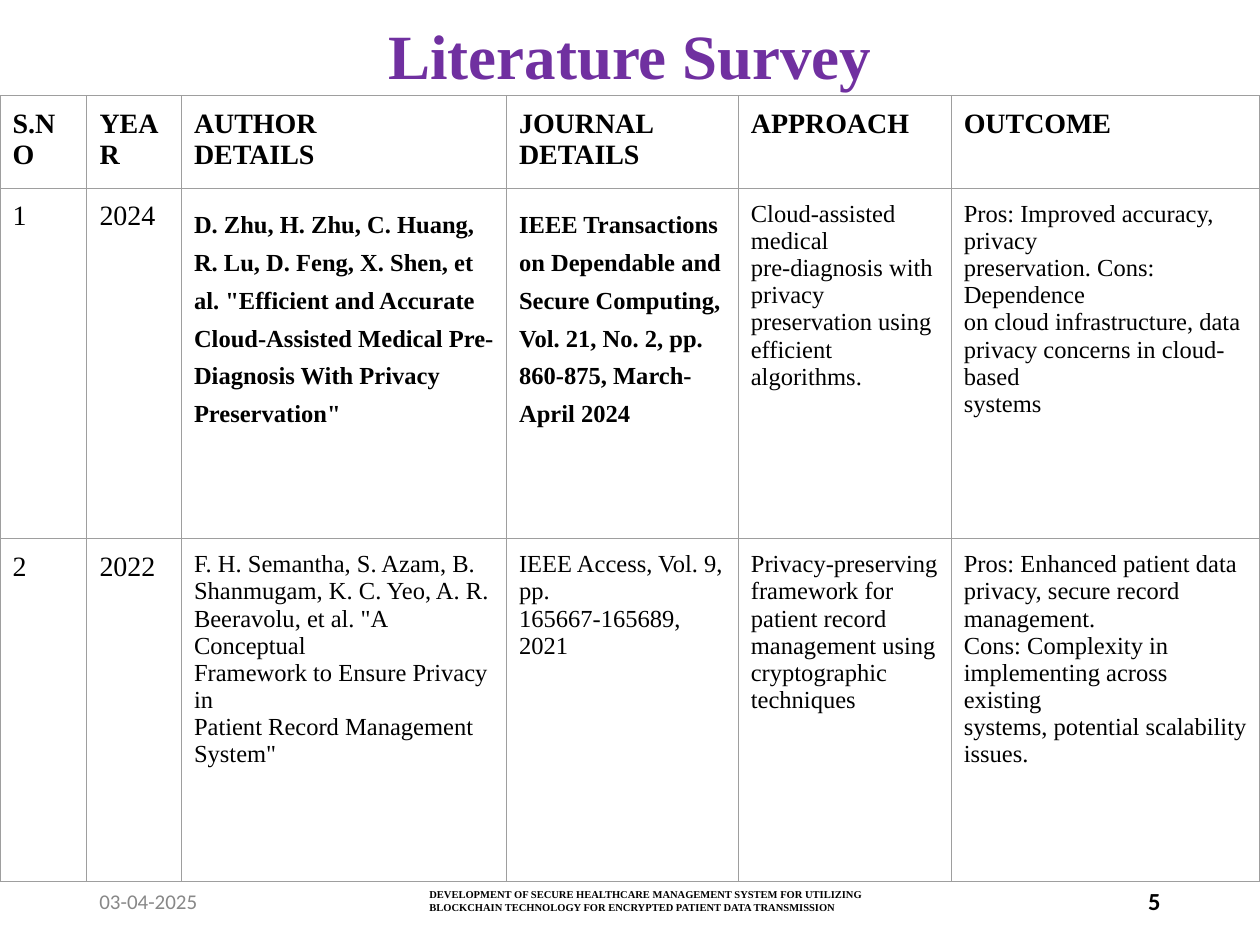
from lxml.etree import SubElement
from pptx import Presentation
from pptx.dml.color import RGBColor
from pptx.enum.text import MSO_ANCHOR, PP_ALIGN
from pptx.oxml.ns import qn
from pptx.util import Inches, Pt

COLUMN_WIDTHS = [0.69, 0.75, 2.58, 1.84, 1.69, 2.45]
ROW_HEIGHTS = [0.68, 2.78, 2.72]
HEADINGS = ["S.NO", "YEAR", "AUTHOR\nDETAILS", "JOURNAL DETAILS", "APPROACH", "OUTCOME"]
STUDIES = [
    [
        "1",
        "2024",
        'D. Zhu, H. Zhu, C. Huang, R. Lu, D. Feng, X. Shen, et al. "Efficient and Accurate '
        'Cloud-Assisted Medical Pre-Diagnosis With Privacy Preservation"',
        "IEEE Transactions on Dependable and Secure Computing, Vol. 21, No. 2, "
        "pp. 860-875, March-April 2024",
        "Cloud-assisted medical\npre-diagnosis with privacy\npreservation using\n"
        "efficient algorithms.",
        "Pros: Improved accuracy, privacy\npreservation. Cons: Dependence\n"
        "on cloud infrastructure, data\nprivacy concerns in cloud-based\nsystems",
    ],
    [
        "2",
        "2022",
        "F. H. Semantha, S. Azam, B.\nShanmugam, K. C. Yeo, A. R.\n"
        'Beeravolu, et al. "A Conceptual\nFramework to Ensure Privacy in\n'
        'Patient Record Management\nSystem"',
        "IEEE Access, Vol. 9, pp.\n165667-165689, 2021",
        "Privacy-preserving\nframework for patient record\nmanagement using\n"
        "cryptographic techniques",
        "Pros: Enhanced patient data\nprivacy, secure record\nmanagement.\n"
        "Cons: Complexity in\nimplementing across existing\n"
        "systems, potential scalability\nissues.",
    ],
]


def rgb(value):
    return RGBColor.from_string(value)


class SurveySlide:
    serif = "Times New Roman"
    sans = "Calibri"
    black = "000000"
    gray = "888888"
    purple = "7030A0"
    rule = "9E9E9E"

    def __init__(self, slide):
        self.slide = slide

    def set_text(self, frame, text, size, font=serif, color=black, bold=False,
                 align=PP_ALIGN.LEFT, spacing=None):
        """Fill a text frame, one paragraph per line of text."""
        frame.word_wrap = True
        frame.text = text
        for paragraph in frame.paragraphs:
            paragraph.alignment = align
            paragraph.line_spacing = spacing
            for run in paragraph.runs:
                run.font.size = Pt(size)
                run.font.name = font
                run.font.bold = bold
                run.font.color.rgb = rgb(color)

    def label(self, left, top, width, height, text, size, **style):
        box = self.slide.shapes.add_textbox(
            Inches(left), Inches(top), Inches(width), Inches(height))
        box.text_frame.vertical_anchor = MSO_ANCHOR.MIDDLE
        self.set_text(box.text_frame, text, size, **style)

    def border(self, cell):
        properties = cell._tc.get_or_add_tcPr()
        for side in ("a:lnL", "a:lnR", "a:lnT", "a:lnB"):
            line = SubElement(properties, qn(side), w=str(Pt(0.75)))
            fill = SubElement(line, qn("a:solidFill"))
            SubElement(fill, qn("a:srgbClr"), val=self.rule)

    def cell(self, cell, text, size, **style):
        cell.margin_left = cell.margin_right = Inches(0.1)
        cell.margin_top = cell.margin_bottom = Inches(0.1)
        cell.vertical_anchor = MSO_ANCHOR.TOP
        self.border(cell)
        cell.fill.background()
        self.set_text(cell.text_frame, text, size, **style)

    def table(self, left, top, widths, heights, rows):
        table = self.slide.shapes.add_table(
            len(heights), len(widths), Inches(left), Inches(top),
            Inches(sum(widths)), Inches(sum(heights))).table
        table.first_row = table.horz_banding = False
        for column, width in zip(table.columns, widths):
            column.width = Inches(width)
        for row, height in zip(table.rows, heights):
            row.height = Inches(height)
        for r, texts in enumerate(rows):
            for c, text in enumerate(texts):
                citation = r == 1 and c in (2, 3)
                self.cell(table.cell(r, c), text,
                          16 if r == 0 or c < 2 else 14,
                          bold=r == 0 or citation,
                          spacing=1.4 if citation else None)


def main():
    presentation = Presentation()
    presentation.slide_width = Inches(10)
    presentation.slide_height = Inches(7.5)
    survey = SurveySlide(presentation.slides.add_slide(presentation.slide_layouts[6]))

    survey.label(0.69, 0.18, 8.62, 0.58, "Literature Survey", 36, color=survey.purple,
                 bold=True, align=PP_ALIGN.CENTER, spacing=0.9)
    survey.label(0.69, 6.95, 2.25, 0.4, "03-04-2025", 12,
                 font=survey.sans, color=survey.gray)
    survey.label(7.06, 6.95, 2.25, 0.4, "5", 14, font=survey.sans,
                 bold=True, align=PP_ALIGN.RIGHT)
    survey.label(3.31, 6.95, 3.93, 0.4,
                 "DEVELOPMENT OF SECURE HEALTHCARE MANAGEMENT SYSTEM FOR UTILIZING "
                 "BLOCKCHAIN TECHNOLOGY FOR ENCRYPTED PATIENT DATA TRANSMISSION",
                 6, bold=True)
    survey.table(0, 0.76, COLUMN_WIDTHS, ROW_HEIGHTS, [HEADINGS, *STUDIES])

    presentation.save("out.pptx")


if __name__ == "__main__":
    main()
